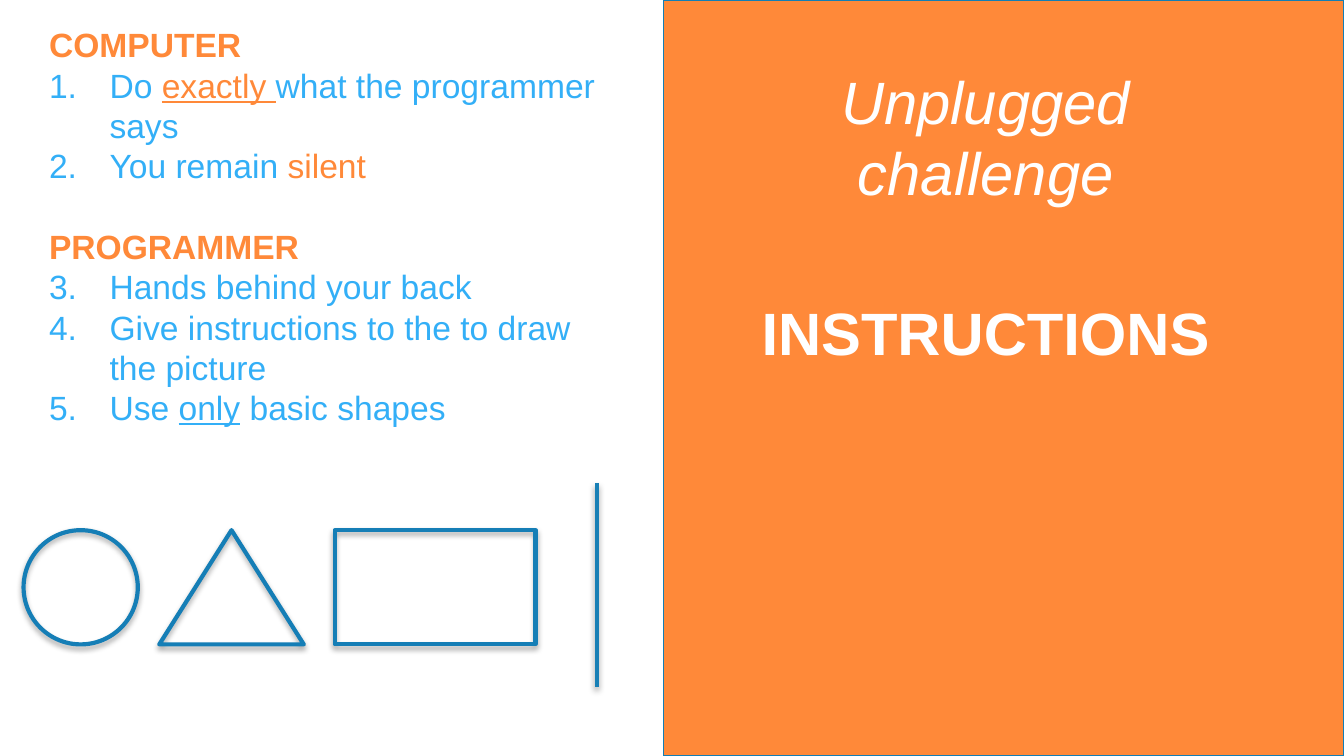
import pptx
import pptx.dml.color
import pptx.enum.shapes
import pptx.enum.text
import pptx.oxml
import pptx.oxml.ns
import pptx.util

PX = 4572  # EMU in one px, 200 px to the inch
SLIDE_WIDTH, SLIDE_HEIGHT = 2000, 1125
ORANGE, SKY, BLUE, WHITE = "FF8939", "33AFF7", "157EB6", "FFFFFF"
FONT = "Arial"
SHAPES = pptx.enum.shapes.MSO_SHAPE

# Each rule is a list of (text, colour, underlined) runs.
ROLES = [
    ("COMPUTER", [
        [("Do ", SKY, False), ("exactly ", ORANGE, True),
         ("what the programmer says", SKY, False)],
        [("You remain ", SKY, False), ("silent", ORANGE, False)],
    ]),
    ("PROGRAMMER", [
        [("Hands behind your back", SKY, False)],
        [("Give instructions to the to draw the picture", SKY, False)],
        [("Use ", SKY, False), ("only", SKY, True), (" basic shapes", SKY, False)],
    ]),
]


def px(*lengths):
    return [pptx.util.Emu(length * PX) for length in lengths]


def rgb(value):
    return pptx.dml.color.RGBColor.from_string(value)


def style_font(font, size, color, bold=False, italic=False, underline=False):
    font.name = FONT
    font.size = pptx.util.Pt(size)
    font.color.rgb = rgb(color)
    font.bold, font.italic, font.underline = bold, italic, underline


def style_line(shape, color, width):
    shape.line.color.rgb = rgb(color)
    shape.line.width = pptx.util.Pt(width)


def prepare_frame(text_frame):
    text_frame.word_wrap = True
    text_frame.auto_size = pptx.enum.text.MSO_AUTO_SIZE.NONE
    text_frame.vertical_anchor = pptx.enum.text.MSO_ANCHOR.TOP
    text_frame.margin_left = text_frame.margin_right = px(18)[0]
    text_frame.margin_top = text_frame.margin_bottom = px(8)[0]


def add_shadow(shape):
    """Cast a soft shadow straight down."""
    shape._element.spPr.append(pptx.oxml.parse_xml(
        f'<a:effectLst {pptx.oxml.ns.nsdecls("a")}>'
        '<a:outerShdw blurRad="40000" dist="22860" dir="5400000" rotWithShape="0">'
        '<a:srgbClr val="000000"><a:alpha val="35000"/></a:srgbClr>'
        '</a:outerShdw></a:effectLst>'))


def number_paragraph(paragraph, start, color):
    properties = paragraph._p.get_or_add_pPr()
    properties.set("marL", str(90 * PX))
    properties.set("indent", str(-90 * PX))
    namespace = pptx.oxml.ns.nsdecls("a")
    for xml in (
        f'<a:buClr {namespace}><a:srgbClr val="{color}"/></a:buClr>',
        f'<a:buFont {namespace} typeface="+mj-lt"/>',
        f'<a:buAutoNum {namespace} type="arabicPeriod" startAt="{start}"/>',
    ):
        properties.append(pptx.oxml.parse_xml(xml))


def add_title_panel(slide, left, top, width, height):
    panel = slide.shapes.add_shape(SHAPES.RECTANGLE, *px(left, top, width, height))
    panel.shadow.inherit = False
    panel.fill.solid()
    panel.fill.fore_color.rgb = rgb(ORANGE)
    style_line(panel, "147EB4", 0.75)

    title = slide.shapes.title
    panel._element.addnext(title._element)  # bring the title in front
    title.left, title.top, title.width, title.height = px(left + 46, top + 88, 868, 584)
    text_frame = title.text_frame
    prepare_frame(text_frame)
    text_frame.text = "Unplugged challenge\nINSTRUCTIONS"
    topic, heading = text_frame.paragraphs
    for paragraph in (topic, heading):
        paragraph.alignment = pptx.enum.text.PP_ALIGN.CENTER
    heading.space_before = pptx.util.Pt(47)
    style_font(topic.runs[0].font, 32, WHITE, italic=True)
    style_font(heading.runs[0].font, 32, WHITE, bold=True)


def add_rules(slide, left, top, width, height):
    text_frame = slide.shapes.add_textbox(*px(left, top, width, height)).text_frame
    prepare_frame(text_frame)
    number = 1
    for index, (role, rules) in enumerate(ROLES):
        heading = text_frame.add_paragraph() if index else text_frame.paragraphs[0]
        heading.text = role
        if index:
            heading.space_before = pptx.util.Pt(21.6)
        style_font(heading.runs[0].font, 18, ORANGE, bold=True)
        start = number
        for rule in rules:
            paragraph = text_frame.add_paragraph()
            number_paragraph(paragraph, start, SKY)
            for text, color, underline in rule:
                run = paragraph.add_run()
                run.text = text
                style_font(run.font, 18, color, underline=underline)
            number += 1


def add_basic_shapes(slide, left, top, width, height):
    """Draw the outlines from the left and a vertical line at the right edge."""
    outline_height = 170
    for kind, offset, outline_width in (
        (SHAPES.OVAL, 0, 170),
        (SHAPES.ISOSCELES_TRIANGLE, 202, 215),
        (SHAPES.RECTANGLE, 463, 299),
    ):
        outline = slide.shapes.add_shape(
            kind, *px(left + offset, top + 70, outline_width, outline_height))
        outline.fill.background()
        style_line(outline, BLUE, 2.25)
        add_shadow(outline)

    right = left + width
    line = slide.shapes.add_connector(
        pptx.enum.shapes.MSO_CONNECTOR.STRAIGHT, *px(right, top + height, right, top))
    style_line(line, "1980B6", 2.25)
    add_shadow(line)


def main():
    presentation = pptx.Presentation()
    presentation.slide_width, presentation.slide_height = px(SLIDE_WIDTH, SLIDE_HEIGHT)
    slide = presentation.slides.add_slide(presentation.slide_layouts[5])
    add_title_panel(slide, 987, 0, 1013, SLIDE_HEIGHT)
    add_rules(slide, 55, 28, 888, 692)
    add_basic_shapes(slide, 35, 719, 853, 303)
    presentation.save("out.pptx")


if __name__ == "__main__":
    main()
